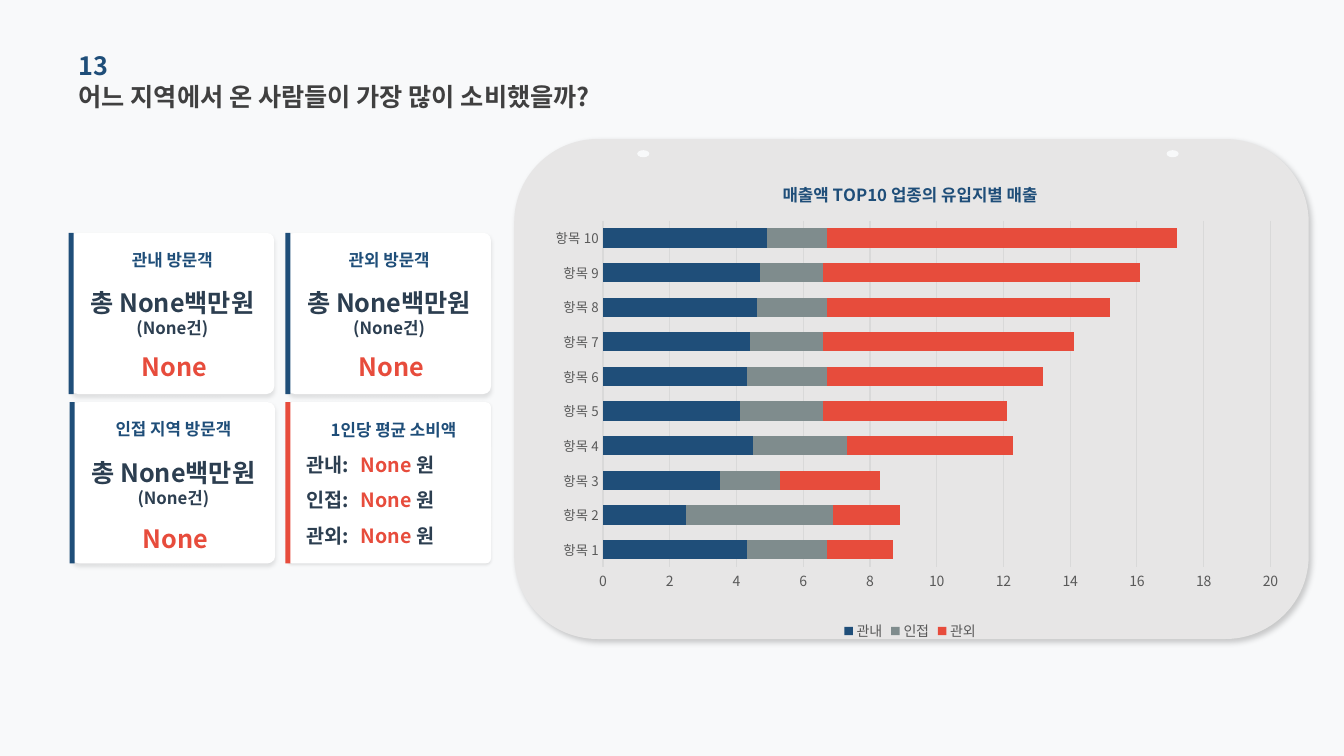
from dataclasses import dataclass

from lxml.etree import SubElement
from pptx import Presentation
from pptx.chart.data import CategoryChartData
from pptx.dml.color import RGBColor
from pptx.enum.chart import XL_CHART_TYPE, XL_LEGEND_POSITION, XL_TICK_MARK
from pptx.enum.shapes import MSO_SHAPE
from pptx.enum.text import MSO_ANCHOR, MSO_AUTO_SIZE, PP_ALIGN
from pptx.oxml import parse_xml
from pptx.oxml.ns import nsdecls, qn
from pptx.util import Inches, Pt


@dataclass(frozen=True)
class Theme:
    font: str = "Noto Sans CJK KR"
    page: str = "F8F9FA"
    panel: str = "E7E6E6"
    white: str = "FFFFFF"
    navy: str = "1F4E79"
    red: str = "E74C3C"
    gray: str = "7F8C8D"
    ink: str = "2C3E50"
    heading: str = "404040"
    axis: str = "595959"
    grid: str = "D9D9D9"
    large: float = 18
    medium: float = 14
    small: float = 12
    tick: float = 10
    category: float = 9.5


T = Theme()


def set_all(target, values):
    for name, value in values.items():
        setattr(target, name, value)


def style_font(font, size, color, bold=False):
    set_all(font, {"size": Pt(size), "bold": bold, "name": T.font})
    font.color.rgb = RGBColor.from_string(color)


class SlideBuilder:
    def __init__(self, prs, theme):
        self.theme = theme
        self.s = prs.slides.add_slide(prs.slide_layouts[5])
        fill = self.s.background.fill
        fill.solid()
        fill.fore_color.rgb = RGBColor.from_string(theme.page)

    def shape(self, kind, box, color, adj=None, shadow=None):
        sp = self.s.shapes.add_shape(kind, *map(Inches, box))
        sp.shadow.inherit = False
        sp.fill.solid()
        sp.fill.fore_color.rgb = RGBColor.from_string(color)
        sp.line.fill.background()
        if adj is not None:
            sp.adjustments[0] = adj
        if shadow:
            alpha, blur, dist, angle = shadow
            effects = sp._element.spPr.find(qn("a:effectLst"))
            effects.append(parse_xml(
                f'<a:outerShdw {nsdecls("a")} blurRad="{Pt(blur)}" dist="{Pt(dist)}" '
                f'dir="{angle * 60000}" algn="ctr" rotWithShape="0"><a:srgbClr val="000000">'
                f'<a:alpha val="{alpha * 1000}"/></a:srgbClr></a:outerShdw>'))
        return sp

    def fill_text(self, sp, runs, align):
        """Fill a text shape; each run is (text, size, color), None is a line break."""
        tf = sp.text_frame
        set_all(tf, {"margin_left": 0, "margin_right": 0, "margin_top": 0, "margin_bottom": 0,
                     "word_wrap": True, "auto_size": MSO_AUTO_SIZE.NONE,
                     "vertical_anchor": MSO_ANCHOR.MIDDLE})
        p = tf.paragraphs[0]
        p.alignment = align
        for run in runs:
            if run is None:
                p.add_line_break()
                continue
            text, size, color = run
            r = p.add_run()
            r.text = text
            style_font(r.font, size, color, True)
            SubElement(r._r.get_or_add_rPr(), qn("a:ea")).set("typeface", self.theme.font)

    def text(self, box, *runs, align=PP_ALIGN.LEFT):
        self.fill_text(self.s.shapes.add_textbox(*map(Inches, box)), runs, align)

    def title(self, box, *runs):
        sp = self.s.shapes.title
        set_all(sp, dict(zip(("left", "top", "width", "height"), map(Inches, box))))
        self.fill_text(sp, runs, PP_ALIGN.LEFT)

    def card(self, x, y, accent, adj, shadow):
        self.shape(MSO_SHAPE.ROUNDED_RECTANGLE, (x + 0.02, y, 2.02, 1.6), T.white, adj, shadow)
        self.shape(MSO_SHAPE.RECTANGLE, (x, y, 0.05, 1.6), accent)

    def visitor_card(self, x, y, heading, count_dy):
        t, center = self.theme, PP_ALIGN.CENTER
        self.card(x, y, t.navy, 0.048, (10, 3, 2, 90))
        self.text((x + 0.42, y + 0.11, 1.22, 0.31), (heading, t.small, t.navy), align=center)
        self.text((x + 0.03, y + 0.56, 2, 0.47), ("총 None백만원", t.large, t.ink), None,
                  ("(None건)", t.small, t.ink), align=center)
        self.text((x + 0.05, y + count_dy, 2, 0.47), ("None", t.large, t.red), align=center)

    def chart(self, box, title, categories, series):
        t = self.theme
        data = CategoryChartData()
        data.categories = categories
        for name, _, values in series:
            data.add_series(name, values)
        chart = self.s.shapes.add_chart(
            XL_CHART_TYPE.BAR_STACKED, *map(Inches, box), data).chart
        style_font(chart.font, t.tick, t.axis)

        # Title
        tf = chart.chart_title.text_frame
        r = tf.paragraphs[0].add_run()
        r.text = title
        style_font(r.font, t.small, t.navy, True)
        chart.chart_title.include_in_layout = False
        self.place(chart.chart_title._element, {"xMode": "edge", "yMode": "edge",
                                                "x": 0.33, "y": 0.04})

        # Legend
        chart.has_legend = True
        set_all(chart.legend, {"position": XL_LEGEND_POSITION.BOTTOM,
                               "include_in_layout": False})
        style_font(chart.legend.font, t.tick, t.axis)

        # Axes
        for axis, size in ((chart.category_axis, t.category), (chart.value_axis, t.tick)):
            set_all(axis, {"major_tick_mark": XL_TICK_MARK.NONE,
                           "minor_tick_mark": XL_TICK_MARK.NONE})
            style_font(axis.tick_labels.font, size, t.axis)
        set_all(chart.value_axis, {"minimum_scale": 0, "maximum_scale": 20, "major_unit": 2})
        chart.value_axis.format.line.fill.background()
        for line in (chart.category_axis.format.line,
                     chart.value_axis.major_gridlines.format.line):
            line.width = Pt(0.75)
            line.color.rgb = RGBColor.from_string(t.grid)

        # Bars
        plot = chart.plots[0]
        set_all(plot, {"gap_width": 80, "overlap": 100, "vary_by_categories": False})
        for bars, (_, color, _) in zip(plot.series, series):
            bars.format.fill.solid()
            bars.format.fill.fore_color.rgb = RGBColor.from_string(color)
        self.place(chart._chartSpace.chart.plotArea,
                   {"layoutTarget": "inner", "xMode": "edge", "yMode": "edge",
                    "x": 0.1, "y": 0.13, "w": 0.87, "h": 0.71})

    @staticmethod
    def place(element, values):
        layout = element.find(qn("c:layout"))
        if layout is None:
            layout = parse_xml(f'<c:layout {nsdecls("c")}/>')
            text = element.find(qn("c:tx"))
            if text is None:
                element.insert(0, layout)
            else:
                text.addnext(layout)
        manual = SubElement(layout, qn("c:manualLayout"))
        for name, value in values.items():
            SubElement(manual, qn(f"c:{name}")).set("val", str(value))


def main():
    prs = Presentation()
    set_all(prs, {"slide_width": Inches(13.33), "slide_height": Inches(7.5)})
    b = SlideBuilder(prs, T)

    # Heading
    b.title((0.78, 0.75, 5.35, 0.41),
            ("어느 지역에서 온 사람들이 가장 많이 소비했을까?", T.large, T.heading))
    b.text((0.78, 0.44, 4.52, 0.41), ("13", T.large, T.navy))

    # Chart panel with two pin holes
    b.shape(MSO_SHAPE.ROUNDED_RECTANGLE, (5.1, 1.38, 7.88, 4.96), T.panel,
            shadow=(20, 4, 3, 45))
    for x in (6.32, 11.57):
        b.shape(MSO_SHAPE.OVAL, (x, 1.49, 0.12, 0.07), T.page)

    # Visitor cards
    for x, y, heading, count_dy in ((0.68, 2.31, "관내 방문객", 1.09),
                                    (2.83, 2.31, "관외 방문객", 1.09),
                                    (0.69, 3.99, "인접 지역 방문객", 1.12)):
        b.visitor_card(x, y, heading, count_dy)

    # Average spending card
    b.card(2.83, 3.99, T.red, 0.032, (10, 2, 1, 90))
    b.text((3.28, 4.14, 1.4, 0.25), ("1인당 평균 소비액", T.small, T.navy))
    for i, region in enumerate(("관내", "인접", "관외")):
        y = 4.46 + 0.35 * i
        b.text((3.04, y, 0.59, 0.3), (f"{region}:", T.medium, T.ink))
        b.text((3.58, y, 4.45, 0.3), ("None ", T.medium, T.red), ("원", T.medium, T.ink))

    # Sales by origin
    b.chart((5.22, 1.56, 7.61, 4.84), "매출액 TOP10 업종의 유입지별 매출",
            [f"항목 {n}" for n in range(1, 11)],
            (("관내", T.navy, (4.3, 2.5, 3.5, 4.5, 4.1, 4.3, 4.4, 4.6, 4.7, 4.9)),
             ("인접", T.gray, (2.4, 4.4, 1.8, 2.8, 2.5, 2.4, 2.2, 2.1, 1.9, 1.8)),
             ("관외", T.red, (2, 2, 3, 5, 5.5, 6.5, 7.5, 8.5, 9.5, 10.5))))

    prs.save("out.pptx")


if __name__ == "__main__":
    main()
